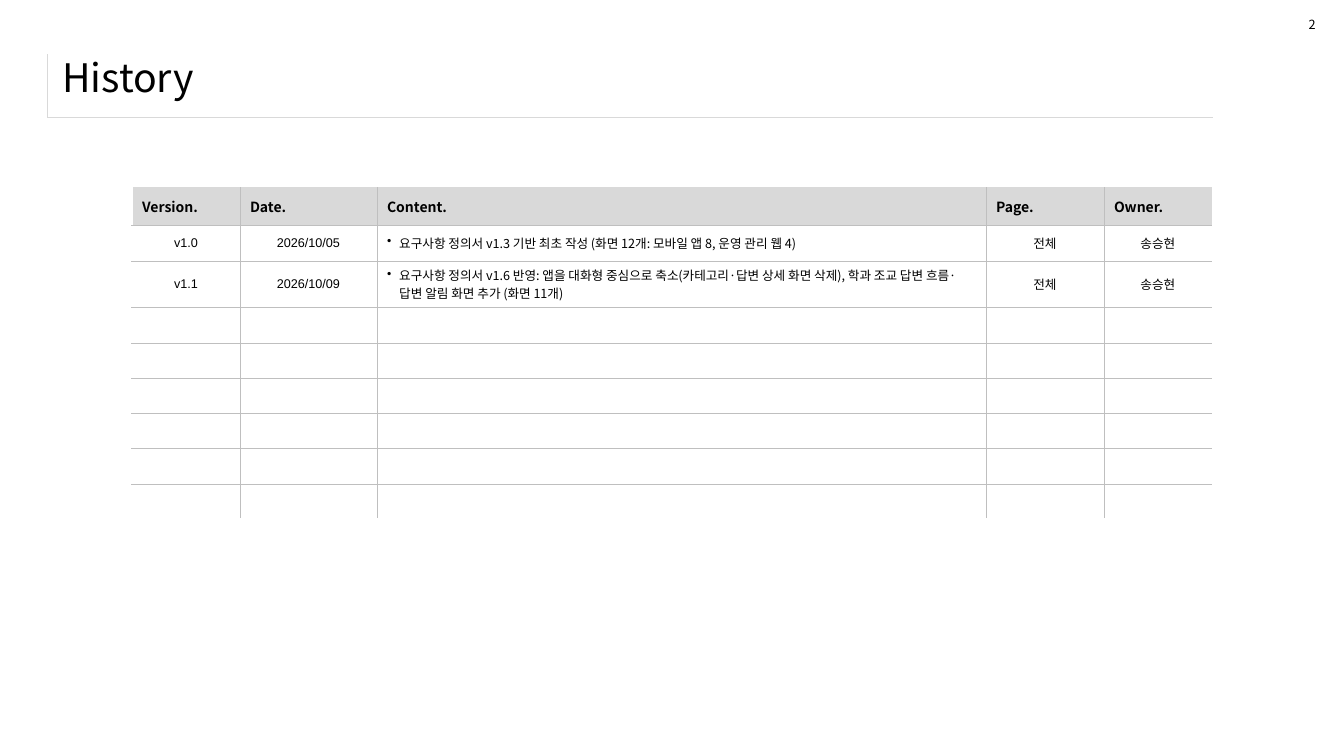
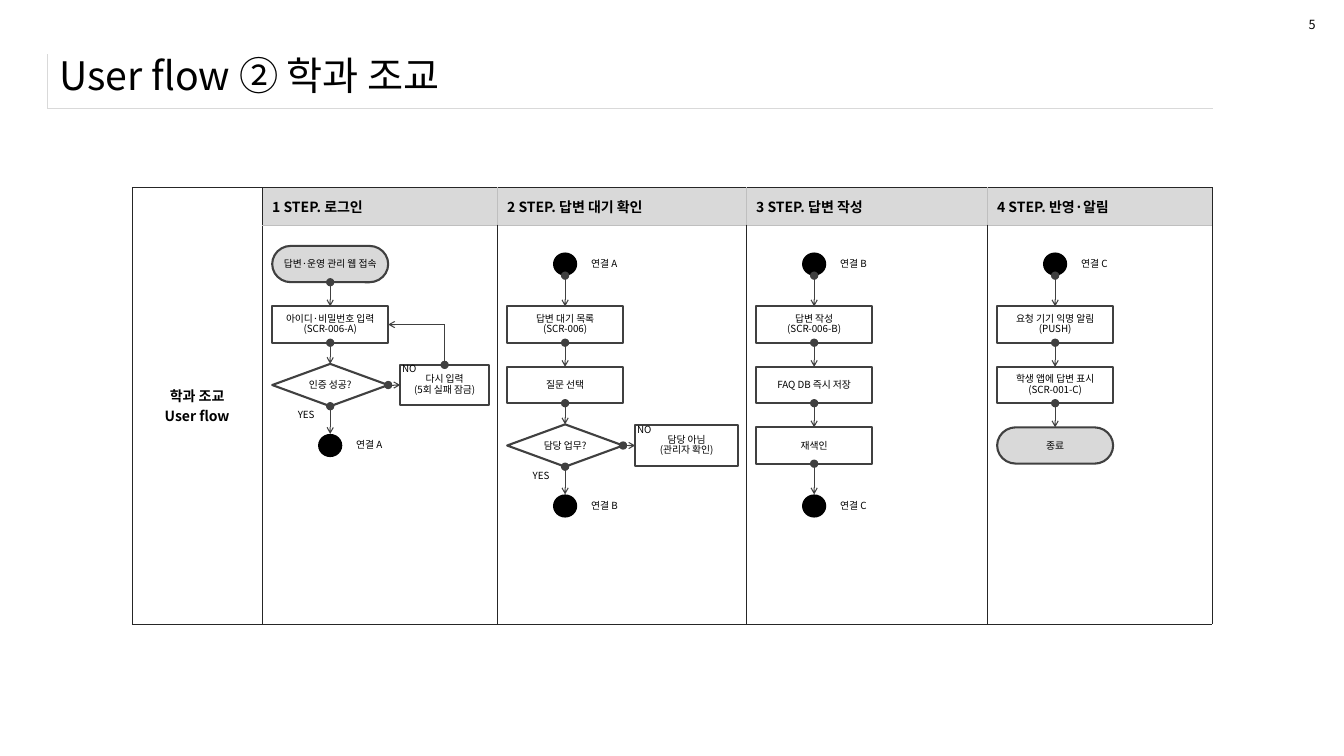
from dataclasses import dataclass
from itertools import accumulate, pairwise

from lxml import etree
from pptx import Presentation
from pptx import util as u
from pptx.dml.color import RGBColor
from pptx.enum import shapes, text
from pptx.oxml.ns import qn


@dataclass(frozen=True)
class Theme:
    font: str = "Noto Sans CJK KR"
    plain_font: str = "Arial"
    ink: str = "000000"
    paper: str = "FFFFFF"
    band: str = "D9D9D9"
    grid: str = "BFBFBF"
    frame: str = "262626"
    flow: str = "404040"
    title: float = 28
    head: float = 10
    body: float = 9
    node: float = 7
    hairline: float = 0.25
    link: float = 0.75
    outline: float = 1.5


THEME = Theme()
NO_GRID_STYLE = "{2D5ABB26-0587-4C30-8999-92F81FD0307C}"

# Content
HISTORY = {
    "title": "History", "page": "2", "title_at": (0.52, 0.45, 12.49, 0.63), "rule": 1.16,
    "columns": [("Version.", 1.07), ("Date.", 1.36), ("Content.", 6.04), ("Page.", 1.17), ("Owner.", 1.07)],
    "rows": [
        ("v1.0", "2026/10/05", "요구사항 정의서 v1.3 기반 최초 작성 (화면 12개: 모바일 앱 8, 운영 관리 웹 4)", "전체", "송승현"),
        ("v1.1", "2026/10/09", "요구사항 정의서 v1.6 반영: 앱을 대화형 중심으로 축소(카테고리·답변 상세 화면 삭제), "
         "학과 조교 답변 흐름·답변 알림 화면 추가 (화면 11개)", "전체", "송승현"),
    ],
    "row_heights": [0.36, 0.46],
    "empty_rows": 6,
}
FLOW = {
    "title": "User flow ② 학과 조교", "page": "5", "title_at": (0.49, 0.41, 12.49, 0.67), "rule": 1.07,
    "actor": "학과 조교\nUser flow", "actor_width": 1.29,
    "lanes": [
        {"head": "1 STEP. 로그인", "width": 2.33,
         "nodes": [("terminal", "답변·운영 관리 웹 접속"), ("process", "아이디·비밀번호 입력\n(SCR-006-A)"),
                   ("decision", "인증 성공?"), ("joint", "연결 A")],
         "side": {"text": "다시 입력\n(5회 실패 잠금)", "width": 0.88, "back_to": 1}},
        {"head": "2 STEP. 답변 대기 확인", "width": 2.47,
         "nodes": [("joint", "연결 A"), ("process", "답변 대기 목록\n(SCR-006)"), ("process", "질문 선택"),
                   ("decision", "담당 업무?"), ("joint", "연결 B")],
         "side": {"text": "담당 아님\n(관리자 확인)", "width": 1.02}},
        {"head": "3 STEP. 답변 작성", "width": 2.39,
         "nodes": [("joint", "연결 B"), ("process", "답변 작성\n(SCR-006-B)"), ("process", "FAQ DB 즉시 저장"),
                   ("process", "재색인"), ("joint", "연결 C")]},
        {"head": "4 STEP. 반영·알림", "width": 2.23,
         "nodes": [("joint", "연결 C"), ("process", "요청 기기 익명 알림\n(PUSH)"),
                   ("process", "학생 앱에 답변 표시\n(SCR-001-C)"), ("terminal", "종료")]},
    ],
}

# Grid, in inches
PAGE = (13.33, 7.5)
FRAME_LEFT, FRAME_TOP, FRAME_WIDTH = 0.47, 0.54, 11.56
TABLE_LEFT, TABLE_TOP = 1.31, 1.86
HEAD_ROW, BODY_ROW, FLOW_ROW = 0.37, 0.35, 3.96
LANE_PAD, FIRST_ROW, ROW_STEP = 0.1, 2.62, 0.6
NODE_WIDTH, SIDE_GAP, SIDE_HEIGHT = 1.15, 0.12, 0.4

# Node kind: preset, width, height, fill
KINDS = {
    "terminal": (shapes.MSO_SHAPE.FLOWCHART_TERMINATOR, NODE_WIDTH, 0.36, THEME.band),
    "process": (shapes.MSO_SHAPE.FLOWCHART_PROCESS, NODE_WIDTH, 0.36, THEME.paper),
    "decision": (shapes.MSO_SHAPE.FLOWCHART_DECISION, NODE_WIDTH, 0.42, THEME.paper),
    "joint": (shapes.MSO_SHAPE.FLOWCHART_CONNECTOR, 0.24, 0.23, THEME.ink),
}


def inches(*values):
    return [u.Inches(value) for value in values]


def color(value):
    return RGBColor.from_string(value)


def write(frame, words, size, bold=False, font=THEME.font, east_font=THEME.font,
          align=None, bullet=False, spacing=None):
    """Fill a text frame, one paragraph per line of words."""
    for index, line in enumerate(words.split("\n")):
        para = frame.add_paragraph() if index else frame.paragraphs[0]
        if bullet:
            props = para._p.get_or_add_pPr()
            props.set("marL", str(u.Inches(0.12)))
            props.set("indent", str(-u.Inches(0.12)))
            etree.SubElement(props, qn("a:buChar"), char="•")
        para.alignment = align
        if spacing:
            para.line_spacing = spacing
        if not line:
            etree.SubElement(para._p, qn("a:endParaRPr"), sz=str(int(size * 100)))
            continue
        span = para.add_run()
        span.text = line
        span.font.size, span.font.bold, span.font.name = u.Pt(size), bold, font
        span.font.color.rgb = color(THEME.ink)
        if east_font:
            etree.SubElement(span._r.get_or_add_rPr(), qn("a:ea"), typeface=east_font)


def add_label(page, left, top, words, size=THEME.node, width=0.5, height=0.2):
    box = page.shapes.add_textbox(*inches(left, top, width, height))
    box.text_frame.word_wrap = False
    box.text_frame.auto_size = text.MSO_AUTO_SIZE.SHAPE_TO_FIT_TEXT
    write(box.text_frame, words, size)


def add_line(page, start, end, head=None, tail=None):
    line = page.shapes.add_connector(shapes.MSO_CONNECTOR.STRAIGHT, *inches(*start, *end))
    line.line.color.rgb, line.line.width = color(THEME.flow), u.Pt(THEME.link)
    outline = line.line._get_or_add_ln()
    if head:
        etree.SubElement(outline, qn("a:headEnd"), type=head)
    if tail:
        etree.SubElement(outline, qn("a:tailEnd"), type=tail, w="sm", len="sm")
    etree.SubElement(line._element.spPr, qn("a:effectLst"))


def add_grid(page, left, top, widths, heights):
    holder = page.shapes.add_table(len(heights), len(widths),
                                   *inches(left, top, sum(widths), sum(heights)))
    table = holder.table
    table.first_row = table.horz_banding = False
    table._tbl.tblPr.find(qn("a:tableStyleId")).text = NO_GRID_STYLE
    for parts, sizes, side in ((table.columns, widths, "width"), (table.rows, heights, "height")):
        for part, size in zip(parts, sizes):
            setattr(part, side, u.Inches(size))
    return table


def style_cell(cell, fill=None, **borders):
    """Borders are L, R, T, B = colour; a side left out has no line."""
    cell.vertical_anchor = text.MSO_ANCHOR.MIDDLE
    if fill:
        cell.fill.solid()
        cell.fill.fore_color.rgb = color(fill)
    else:
        cell.fill.background()
    props = cell._tc.get_or_add_tcPr()
    sides = [side for side in "LRTB" if borders.get(side)]
    for index, side in enumerate(sides):
        stroke = borders[side]
        width = 1 if stroke == THEME.paper else THEME.hairline
        line = etree.Element(qn(f"a:ln{side}"), w=str(u.Pt(width)))
        solid = etree.SubElement(line, qn("a:solidFill"))
        etree.SubElement(solid, qn("a:srgbClr"), val=stroke)
        props.insert(index, line)


def add_page(deck, content):
    """Blank slide with the shared title frame, title and page number."""
    page = deck.slides.add_slide(deck.slide_layouts[6])
    frame = add_grid(page, FRAME_LEFT, FRAME_TOP, [FRAME_WIDTH], [content["rule"] - FRAME_TOP]).cell(0, 0)
    style_cell(frame, L=THEME.band, B=THEME.band)
    write(frame.text_frame, "", THEME.body)
    box = page.shapes.add_textbox(*inches(*content["title_at"]))
    box.text_frame.word_wrap = True
    box.text_frame.vertical_anchor = text.MSO_ANCHOR.MIDDLE
    write(box.text_frame, content["title"], THEME.title, east_font=None)
    add_label(page, 12.88, 0.12, content["page"], THEME.body, 0.27, 0.25)
    return page


def add_node(page, kind, center, words, width=None, height=None):
    preset, usual_width, usual_height, fill = KINDS[kind]
    width, height = width or usual_width, height or usual_height
    x, y = center
    left, top = x - width / 2, y - height / 2
    node = page.shapes.add_shape(preset, *inches(left, top, width, height))
    node.shadow.inherit = False
    node.fill.solid()
    node.fill.fore_color.rgb = color(fill)
    if kind == "joint":
        node.line.fill.background()
        add_label(page, left + 0.28, top, words)
        return
    node.line.color.rgb, node.line.width = color(THEME.flow), u.Pt(THEME.outline)
    frame = node.text_frame
    frame.word_wrap = True
    frame.vertical_anchor = text.MSO_ANCHOR.MIDDLE
    frame.margin_left = frame.margin_right = u.Inches(0.03)
    write(frame, words, THEME.node, align=text.PP_ALIGN.CENTER, spacing=0.9 if "\n" in words else None)


def add_side_step(page, x, y, side, rows):
    """Box reached by NO, with an optional way back to an earlier row."""
    edge = x + NODE_WIDTH / 2
    left, top = edge + SIDE_GAP, y - SIDE_HEIGHT / 2
    middle = left + side["width"] / 2
    add_node(page, "process", (middle, y), side["text"], side["width"], SIDE_HEIGHT)
    add_line(page, (edge, y), (left, y), head="oval", tail="arrow")
    add_label(page, left - 0.08, top - 0.07, "NO")
    if "back_to" in side:
        back = rows[side["back_to"]]
        add_line(page, (middle, top), (middle, back), head="oval")
        add_line(page, (middle, back), (edge, back), tail="arrow")


def add_lane(page, left, lane):
    x = left + LANE_PAD + NODE_WIDTH / 2
    rows = [FIRST_ROW + ROW_STEP * index for index in range(len(lane["nodes"]))]
    steps = [(kind, words, y, KINDS[kind][2] / 2) for (kind, words), y in zip(lane["nodes"], rows)]
    for kind, words, y, _ in steps:
        add_node(page, kind, (x, y), words)
    for (kind, _, y, half), (_, _, next_y, next_half) in pairwise(steps):
        add_line(page, (x, y + half), (x, next_y - next_half), head="oval", tail="arrow")
        if kind == "decision":
            add_label(page, x - 0.42, y + half - 0.02, "YES")
            add_side_step(page, x, y, lane["side"], rows)


def build_history(deck):
    page = add_page(deck, HISTORY)
    heads, widths = zip(*HISTORY["columns"])
    empty = HISTORY["empty_rows"]
    rows = [heads, *HISTORY["rows"], *[[""] * len(heads)] * empty]
    heights = [HEAD_ROW, *HISTORY["row_heights"], *[BODY_ROW] * empty]
    table = add_grid(page, TABLE_LEFT, TABLE_TOP, widths, heights)
    for r, row in enumerate(rows):
        for c, words in enumerate(row):
            cell = table.cell(r, c)
            style_cell(cell, None if r else THEME.band,
                       L=THEME.grid if c else THEME.paper,
                       R=THEME.grid if c < len(row) - 1 else None,
                       T=THEME.grid if r else None,
                       B=THEME.grid if r < len(rows) - 1 else THEME.paper)
            if r == 0:
                write(cell.text_frame, words, THEME.head, bold=True)
            elif heads[c] == "Content.":
                write(cell.text_frame, words, THEME.body, east_font=None, bullet=bool(words))
            else:
                write(cell.text_frame, words, THEME.body, font=THEME.plain_font, align=text.PP_ALIGN.CENTER)


def build_flow(deck):
    page = add_page(deck, FLOW)
    lanes = FLOW["lanes"]
    widths = [FLOW["actor_width"]] + [lane["width"] for lane in lanes]
    table = add_grid(page, TABLE_LEFT, TABLE_TOP, widths, [HEAD_ROW, FLOW_ROW])
    dark, light = THEME.frame, THEME.grid
    # Actor cell spans both rows
    table.cell(0, 0).merge(table.cell(1, 0))
    for r in range(2):
        style_cell(table.cell(r, 0), L=dark, R=dark, T=dark, B=dark)
    write(table.cell(0, 0).text_frame, FLOW["actor"], THEME.head, bold=True, align=text.PP_ALIGN.CENTER)
    # Lanes
    lefts = list(accumulate(widths, initial=TABLE_LEFT))[1:]
    for c, (left, lane) in enumerate(zip(lefts, lanes), 1):
        head = table.cell(0, c)
        style_cell(head, THEME.band, L=dark if c == 1 else light,
                   R=dark if c == len(lanes) else light, T=dark, B=light)
        write(head.text_frame, lane["head"], THEME.head, bold=True)
        style_cell(table.cell(1, c), L=dark, R=dark, T=light, B=dark)
        add_lane(page, left, lane)


def main():
    deck = Presentation()
    deck.slide_width, deck.slide_height = inches(*PAGE)
    build_history(deck)
    build_flow(deck)
    deck.save("out.pptx")


if __name__ == "__main__":
    main()
